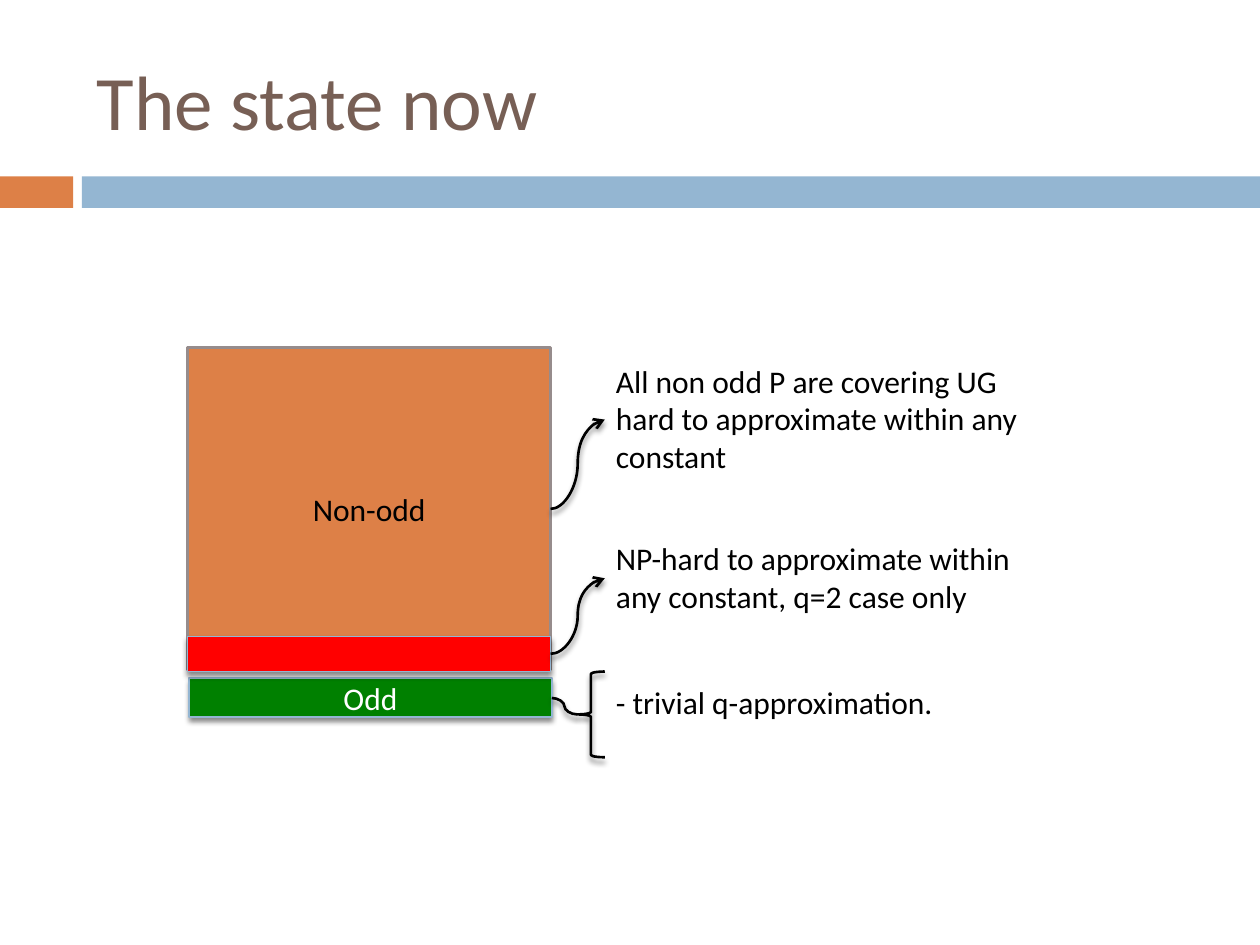
import lxml.etree
import pptx
import pptx.dml.color
import pptx.enum.shapes
import pptx.enum.text
import pptx.oxml.ns
import pptx.util

RGB = pptx.dml.color.RGBColor
BLACK = RGB(0x00, 0x00, 0x00)
WHITE = RGB(0xFF, 0xFF, 0xFF)
BROWN = RGB(0x77, 0x5F, 0x55)
ORANGE = RGB(0xDD, 0x80, 0x47)
BLUE = RGB(0x94, 0xB6, 0xD2)
GREY = RGB(0x96, 0x8C, 0x8C)
GREEN = RGB(0x00, 0x80, 0x00)
RED = RGB(0xFF, 0x00, 0x00)

SHAPE = pptx.enum.shapes.MSO_SHAPE
CURVE = pptx.enum.shapes.MSO_CONNECTOR.CURVE
MIDDLE = pptx.enum.text.MSO_ANCHOR.MIDDLE
TOP = pptx.enum.text.MSO_ANCHOR.TOP
LEFT = pptx.enum.text.PP_ALIGN.LEFT
CENTER = pptx.enum.text.PP_ALIGN.CENTER

PX = 9144


def place(box, *spot):
    left, top = box[:2]
    x, y, *size = spot
    return [v * PX for v in (left + x, top + y, *size)]


def apply(target, values):
    for name, value in values.items():
        setattr(target, name, value)


def add(parent, tag, **values):
    return lxml.etree.SubElement(parent, pptx.oxml.ns.qn(tag), values)


def shade(effects):
    shadow = add(effects, "a:outerShdw", blurRad="38100", dist="30480",
                 dir="5400000", algn="ctr", rotWithShape="0")
    color = add(shadow, "a:srgbClr", val="000000")
    add(color, "a:alpha", val="45000")


def ink(line, color, width):
    line.color.rgb = color
    line.width = pptx.util.Pt(width)


def write(shape, text, size=18, color=BLACK, align=LEFT, anchor=TOP):
    frame = shape.text_frame
    apply(frame, {"word_wrap": True, "vertical_anchor": anchor, "text": text})
    line = frame.paragraphs[0]
    line.alignment = align
    apply(line.font, {"name": "Calibri", "size": pptx.util.Pt(size)})
    line.font.color.rgb = color


def block(slide, kind, spot, fill=None, edge=None, width=1.5, shadow=False):
    shape = slide.shapes.add_shape(kind, *spot)
    shape.shadow.inherit = False
    if fill is None:
        shape.fill.background()
    else:
        shape.fill.solid()
        shape.fill.fore_color.rgb = fill
    if edge is None:
        shape.line.fill.background()
    else:
        ink(shape.line, edge, width)
    if shadow:
        shade(shape.element.spPr.find(pptx.oxml.ns.qn("a:effectLst")))
    return shape


def curve(slide, start, end, arrow=False):
    link = slide.shapes.add_connector(CURVE, *start, *end)
    ink(link.line, BLACK, 1.5)
    form = link.element.spPr
    if arrow:
        add(form.find(pptx.oxml.ns.qn("a:ln")), "a:tailEnd", type="arrow")
    shade(add(form, "a:effectLst"))


def header(slide, box):
    wide = box[2]
    for x, width, color in ((0, 58, ORANGE), (65, wide - 65, BLUE)):
        block(slide, SHAPE.RECTANGLE, place(box, x, 140, width, 25), color)
    title = slide.shapes.add_textbox(*place(box, 67, 25, 892, 108))
    write(title, "The state now", 44, BROWN, anchor=MIDDLE)


def stack(slide, box):
    rows = (
        ((0, 0, 288, 256), ORANGE, GREY, 1.5, False, "Non-odd", BLACK),
        ((1, 262, 288, 31), GREEN, BLUE, 0.79, True, "Odd", WHITE),
        ((0, 229, 288, 28), RED, BLUE, 0.79, True, "", BLACK),
    )
    for spot, fill, edge, width, shadow, text, color in rows:
        shape = block(slide, SHAPE.RECTANGLE, place(box, *spot),
                      fill, edge, width, shadow)
        if text:
            write(shape, text, color=color, align=CENTER, anchor=MIDDLE)


def notes(slide, box):
    rows = (
        (6, 364, 101, "All non odd P are covering UG hard to approximate within any constant"),
        (147, 364, 71, "NP-hard to approximate within any constant, q=2 case only"),
        (261, 376, 40, "- trivial q-approximation."),
    )
    for y, width, height, text in rows:
        note = slide.shapes.add_textbox(*place(box, 0, y, width, height))
        write(note, text)


def links(slide, box):
    block(slide, SHAPE.LEFT_BRACE, place(box, 21, 257, 22, 68),
          edge=BLACK, shadow=True)
    rows = (
        ((0, 128), (43, 57), True),
        ((0, 243), (43, 183), True),
        ((1, 278), (21, 291), False),
    )
    for start, end, arrow in rows:
        curve(slide, place(box, *start), place(box, *end), arrow)


def main():
    deck = pptx.Presentation()
    apply(deck, {"slide_width": 1000 * PX, "slide_height": 750 * PX})
    slide = deck.slides.add_slide(deck.slide_layouts[6])
    header(slide, (0, 0, 1000, 165))
    stack(slide, (149, 276, 289, 293))
    notes(slide, (479, 276, 376, 301))
    links(slide, (437, 276, 43, 325))
    deck.save("out.pptx")


if __name__ == "__main__":
    main()
